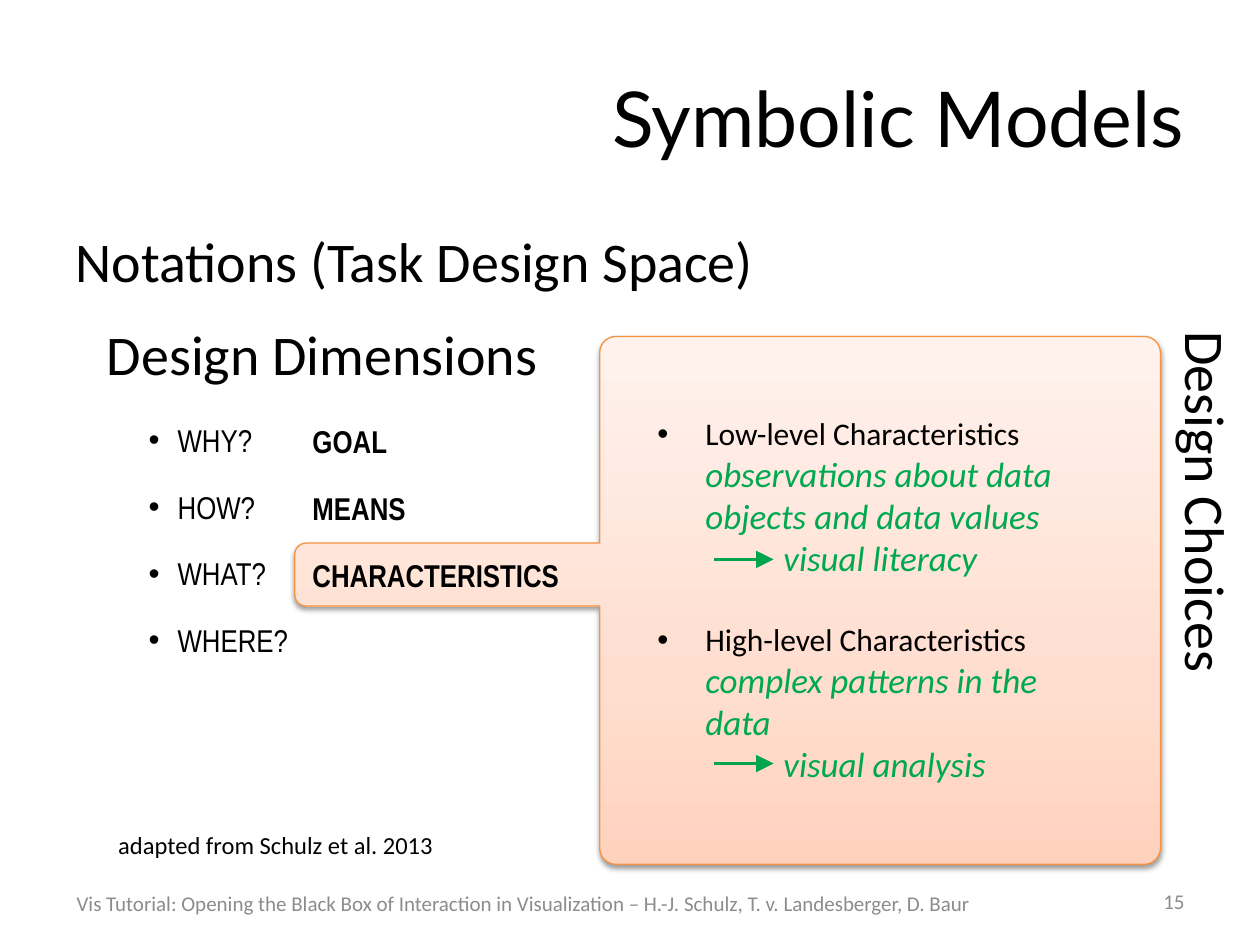
"""Build the Symbolic Models slide with its design dimensions and design choices."""
from math import cos, radians, sin

from lxml import etree
from pptx import Presentation
from pptx.dml.color import RGBColor
from pptx.enum.shapes import MSO_CONNECTOR
from pptx.enum.text import MSO_ANCHOR, PP_ALIGN
from pptx.oxml.ns import qn
from pptx.util import Inches, Pt

LEFT, RIGHT = PP_ALIGN.LEFT, PP_ALIGN.RIGHT
TOP, MIDDLE = MSO_ANCHOR.TOP, MSO_ANCHOR.MIDDLE
BLACK, GRAY, GREEN, ARROW, ORANGE = "000000", "8C8C8C", "00A950", "00A54E", "F69240"

FOOTER = ("Vis Tutorial: Opening the Black Box of Interaction in Visualization"
          " – H.-J. Schulz, T. v. Landesberger, D. Baur")
LABELS = [
    ("Symbolic Models", (0.5, 0.3, 9, 1.25), 44, "Lato", BLACK, RIGHT, MIDDLE, 0),
    ("Notations (Task Design Space)", (0.5, 1.75, 9.15, 0.7), 32, "Calibri", BLACK, LEFT, TOP, 0),
    ("Design Dimensions", (0.75, 2.49, 3.74, 0.4), 32, "Calibri", BLACK, LEFT, TOP, 0),
    ("Design Choices", (7.83, 4.2, 3.74, 0.4), 32, "Calibri", BLACK, LEFT, TOP, 90),
    ("adapted from Schulz et al. 2013", (0.84, 6.54, 3.7, 0.34), 14, "Calibri", BLACK, LEFT, TOP, 0),
    (FOOTER, (0.51, 6.98, 7.64, 0.37), 12, "Calibri", GRAY, LEFT, MIDDLE, 0),
    ("15", (7.17, 6.95, 2.33, 0.4), 12, "Calibri", GRAY, RIGHT, MIDDLE, 0),
]
DIMENSIONS = [("WHY?", "GOAL"), ("HOW?", "MEANS"), ("WHAT?", "CHARACTERISTICS"), ("WHERE?", None)]
CHOICES = [
    ("Low-level Characteristics", "observations about data objects and data values", "visual literacy"),
    ("High-level Characteristics", "complex patterns in the data", "visual analysis"),
]
ARROW_YS = [4.44, 6.06]
GRADIENT = [(0, "FFD2BD"), (35, "FFDED0"), (100, "FFF2ED")]
PANEL = (4.76, 2.67, 9.21, 6.86, 0.13)
TAB = (2.34, 4.31, 4.81, 0.09)


def rgb(color):
    return RGBColor.from_string(color)


def style(r, size, font, color, bold=False, italic=False):
    f = r.font
    f.size, f.name, f.bold, f.italic = Pt(size), font, bold, italic
    f.color.rgb = rgb(color)


def add_box(s, box, anchor=TOP, inset=True):
    sp = s.shapes.add_textbox(*map(Inches, box))
    tf = sp.text_frame
    tf.word_wrap, tf.vertical_anchor = True, anchor
    if not inset:
        tf.margin_left = tf.margin_top = tf.margin_right = tf.margin_bottom = 0
    return sp


def add_label(s, text, box, size, font, color, align=LEFT, anchor=TOP, rotation=0, bold=False, inset=True):
    sp = add_box(s, box, anchor, inset)
    sp.rotation = rotation
    p = sp.text_frame.paragraphs[0]
    p.text, p.alignment = text, align
    style(p.runs[0], size, font, color, bold)
    return p


def set_indent(p, left, first=0.0):
    pPr = p._p.get_or_add_pPr()
    pPr.set("marL", str(Inches(left)))
    pPr.set("indent", str(Inches(first)))
    return pPr


def add_bullet(p, indent):
    pPr = set_indent(p, indent, -indent)
    etree.SubElement(pPr, qn("a:buFont")).set("typeface", "Arial")
    etree.SubElement(pPr, qn("a:buChar")).set("char", "•")


def corner(cx, cy, radius, start, sweep=90, steps=8):
    angles = [radians(start + sweep * i / steps) for i in range(steps + 1)]
    return [(cx + radius * cos(a), cy + radius * sin(a)) for a in angles]


def callout_points():
    left, top, right, bottom, r = PANEL
    tab_left, tab_top, tab_bottom, q = TAB
    return (corner(left + r, top + r, r, 180) + corner(right - r, top + r, r, 270)
            + corner(right - r, bottom - r, r, 0) + corner(left + r, bottom - r, r, 90)
            + [(left, tab_bottom)] + corner(tab_left + q, tab_bottom - q, q, 90)
            + corner(tab_left + q, tab_top + q, q, 180) + [(left, tab_top)])


def add_callout(s):
    points = [(Inches(x), Inches(y)) for x, y in callout_points()]
    builder = s.shapes.build_freeform(*points[0])
    builder.add_line_segments(points[1:], close=True)
    sp = builder.convert_to_shape()
    sp.fill.gradient()
    sp.fill.gradient_angle = 90
    sp.line.color.rgb, sp.line.width = rgb(ORANGE), Pt(0.75)
    stops = sp._element.spPr.find(".//" + qn("a:gsLst"))
    for stop in list(stops):
        stops.remove(stop)
    for pos, color in GRADIENT:
        stop = etree.SubElement(stops, qn("a:gs"), pos=str(pos * 1000))
        etree.SubElement(stop, qn("a:srgbClr"), val=color)
    effects = etree.SubElement(sp._element.spPr, qn("a:effectLst"))
    shadow = etree.SubElement(effects, qn("a:outerShdw"), blurRad=str(Pt(3.1)), dist=str(Pt(1.6)),
                              dir="5400000", rotWithShape="0")
    tint = etree.SubElement(shadow, qn("a:srgbClr"), val=BLACK)
    etree.SubElement(tint, qn("a:alpha"), val="38000")


def add_dimensions(s):
    for i, (question, answer) in enumerate(DIMENSIONS):
        y = 3.34 + 0.53 * i
        p = add_label(s, question, (1.18, y, 1.18, 0.33), 18, "Arial Narrow", BLACK, inset=False)
        add_bullet(p, 0.23)
        if answer:
            add_label(s, answer, (2.48, y + 0.01, 2.05, 0.33), 18, "Arial Narrow", BLACK,
                      bold=True, inset=False)


def add_choices(s):
    tf = add_box(s, (5.12, 3.24, 3.7, 2.93)).text_frame
    for i, (heading, detail, result) in enumerate(CHOICES):
        p = tf.add_paragraph() if i else tf.paragraphs[0]
        p.text = f"{heading}\v{detail}"
        p.space_before = Pt(24 * i)
        add_bullet(p, 0.38)
        outcome = tf.add_paragraph()
        outcome.text = result
        set_indent(outcome, 1)
        style(p.runs[0], 18, "Calibri", BLACK)
        for r in (p.runs[1], outcome.runs[0]):
            style(r, 20, "Calibri", GREEN, italic=True)


def add_arrow(s, y):
    cx = s.shapes.add_connector(MSO_CONNECTOR.STRAIGHT, Inches(5.67), Inches(y), Inches(6.14), Inches(y))
    cx.line.color.rgb, cx.line.width = rgb(ARROW), Pt(2)
    etree.SubElement(cx.line._get_or_add_ln(), qn("a:tailEnd"), type="triangle", w="lg", len="lg")
    etree.SubElement(cx._element.spPr, qn("a:effectLst"))


def main():
    prs = Presentation()
    prs.slide_width, prs.slide_height = Inches(10), Inches(7.5)
    s = prs.slides.add_slide(prs.slide_layouts[6])
    add_callout(s)
    for label in LABELS:
        add_label(s, *label)
    add_dimensions(s)
    add_choices(s)
    for y in ARROW_YS:
        add_arrow(s, y)
    prs.save("out.pptx")


if __name__ == "__main__":
    main()
